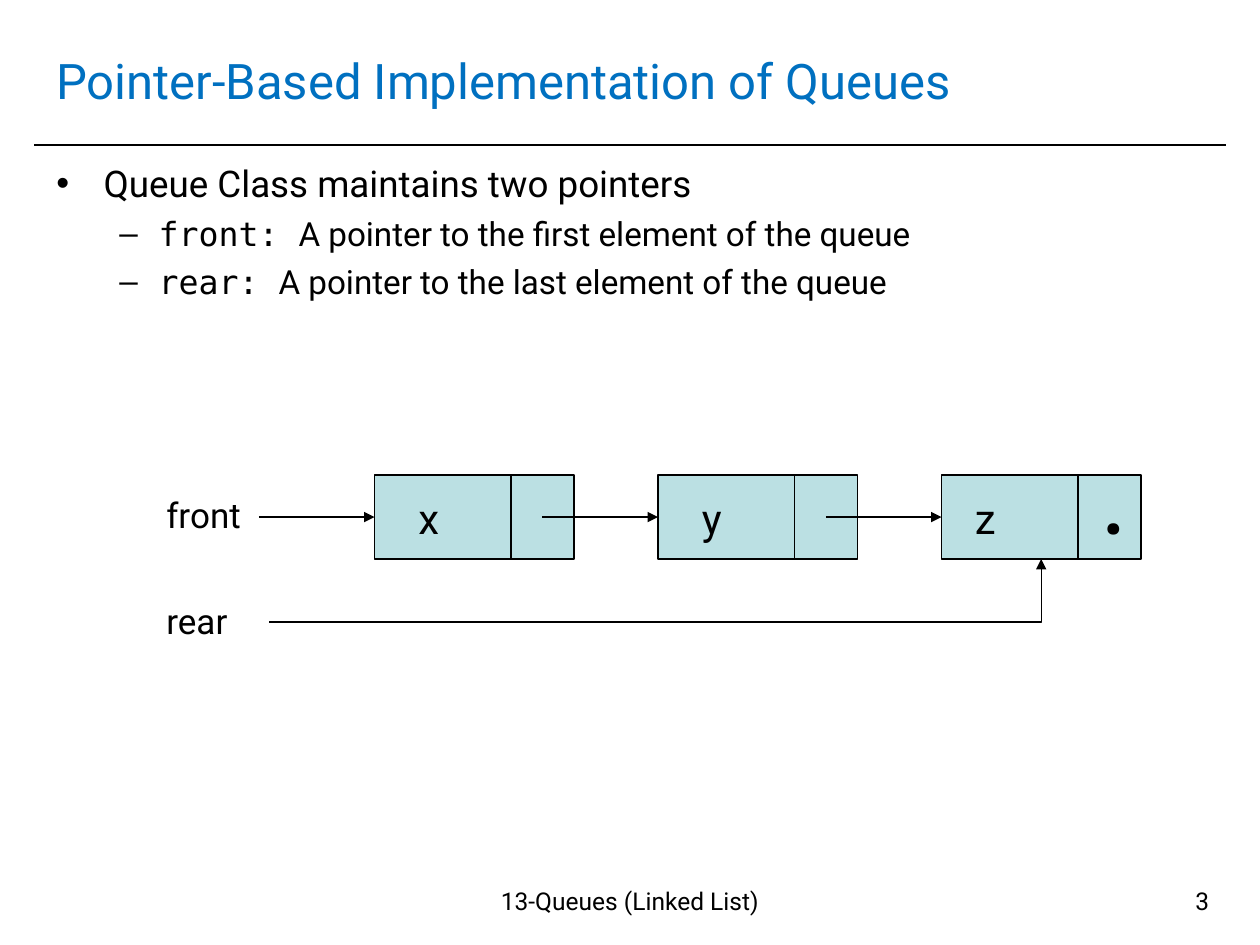
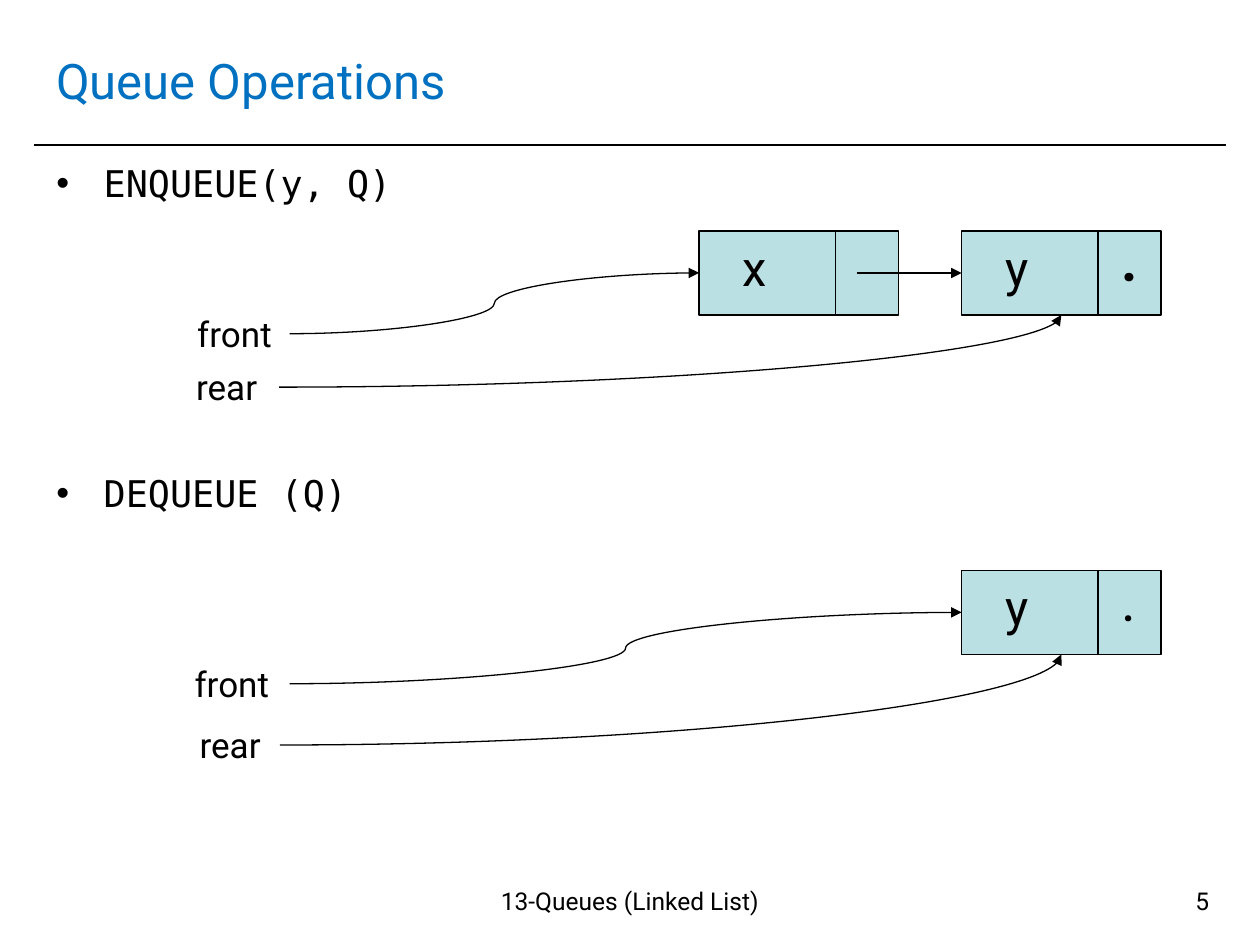
from dataclasses import dataclass
from typing import Any, Optional

from lxml import etree
from pptx import Presentation
from pptx.dml.color import RGBColor
from pptx.enum.shapes import MSO_CONNECTOR, MSO_SHAPE
from pptx.enum.text import MSO_ANCHOR, MSO_AUTO_SIZE, PP_ALIGN
from pptx.oxml.ns import qn
from pptx.util import Pt

STRAIGHT, ELBOW, CURVE = MSO_CONNECTOR.STRAIGHT, MSO_CONNECTOR.ELBOW, MSO_CONNECTOR.CURVE
RECTANGLE = MSO_SHAPE.RECTANGLE
LEFT, CENTER, RIGHT = PP_ALIGN.LEFT, PP_ALIGN.CENTER, PP_ALIGN.RIGHT
TOP, MIDDLE = MSO_ANCHOR.TOP, MSO_ANCHOR.MIDDLE
NO_AUTOFIT = MSO_AUTO_SIZE.NONE

SANS, MONO = "Roboto", "DejaVu Sans Mono"
BLACK, TITLE_BLUE, NODE_FILL = "000000", "0070C0", "BBE0E3"
BOTTOM_SITE, LEFT_SITE, RIGHT_SITE = 2, 1, 3

NODE_WIDTH, NODE_HEIGHT, DIVIDER = 114, 48, 78
NODE_PITCH = 162
LABEL_HEIGHT = 31.5
CONTENT_LEFT, CONTENT_WIDTH = 25, 669


@dataclass
class Run:
    """A stretch of text in one font."""
    text: str
    font: str = SANS


@dataclass
class Bullet:
    """A list item with its level and the space above it."""
    runs: list[Run]
    level: int = 0
    space_before: float = 0


@dataclass
class BulletStyle:
    """The look of one list level."""
    mark: str
    size: float
    margin: float
    hanging: float


@dataclass
class Dot:
    """The null mark in the last node of a list."""
    size: float
    top: float
    bold: bool = False


@dataclass
class Node:
    """A linked-list node with its letter placed relative to its corner."""
    letter: str
    left: float
    top: float
    letter_size: float = 28
    letter_left: float = 18
    letter_top: float = 0
    dot: Optional[Dot] = None


@dataclass
class Label:
    """The name of a pointer."""
    text: str
    left: float
    top: float
    width: float
    align: Any = CENTER


BULLET_STYLES = [BulletStyle("•", 21, 27, 27), BulletStyle("–", 19, 58.5, 22.5)]


def color(value: str) -> RGBColor:
    """Turn a hex string into a colour."""
    return RGBColor.from_string(value)


def add_run(paragraph: Any, text: str, *, size: float, font: str = SANS,
            fill: str = BLACK, bold: bool = False) -> None:
    """Add formatted text to a paragraph."""
    run = paragraph.add_run()
    run.text = text
    run.font.name = font
    run.font.size = Pt(size)
    run.font.bold = bold
    run.font.color.rgb = color(fill)


def add_text(slide: Any, text: str, left: float, top: float, width: float, height: float,
             *, align: Any = LEFT, **text_format: Any) -> Any:
    """Add a wrapped text box with one paragraph."""
    box = slide.shapes.add_textbox(Pt(left), Pt(top), Pt(width), Pt(height))
    box.text_frame.word_wrap = True
    paragraph = box.text_frame.paragraphs[0]
    paragraph.alignment = align
    add_run(paragraph, text, **text_format)
    return box


def add_line(slide: Any, start: tuple[float, float], end: tuple[float, float],
             *, kind: Any = STRAIGHT, width: float = 0.75) -> Any:
    """Add a plain black connector."""
    line = slide.shapes.add_connector(kind, *(Pt(value) for value in start + end))
    line.line.color.rgb = color(BLACK)
    line.line.width = Pt(width)
    etree.SubElement(line.element.spPr, qn("a:effectLst"))
    return line


def add_arrow(slide: Any, start: tuple[float, float], target: Any, site: int = LEFT_SITE,
              *, kind: Any = STRAIGHT, preset: str = "line", source: Any = None) -> None:
    """Add an arrow that ends on a side of a node."""
    arrow = add_line(slide, start, start, kind=kind)
    if source is not None:
        arrow.begin_connect(source, RIGHT_SITE)
    arrow.end_connect(target, site)
    arrow.element.spPr.find(qn("a:prstGeom")).set("prst", preset)
    outline = arrow.element.spPr.find(qn("a:ln"))
    etree.SubElement(outline, qn("a:tailEnd"), type="triangle")


def add_node(slide: Any, node: Node) -> Any:
    """Draw a node and return its rectangle."""
    box = slide.shapes.add_shape(RECTANGLE, Pt(node.left), Pt(node.top),
                                 Pt(NODE_WIDTH), Pt(NODE_HEIGHT))
    box.shadow.inherit = False
    box.fill.solid()
    box.fill.fore_color.rgb = color(NODE_FILL)
    box.line.color.rgb = color(BLACK)
    box.line.width = Pt(0.75)
    divider = node.left + DIVIDER
    add_line(slide, (divider, node.top), (divider, node.top + NODE_HEIGHT))
    add_text(slide, node.letter, node.left + node.letter_left, node.top + node.letter_top,
             36, 36, size=node.letter_size)
    if node.dot:
        add_text(slide, ".", node.left + 84, node.top + node.dot.top, 24,
                 node.dot.size * 1.2 + 7, size=node.dot.size, bold=node.dot.bold)
    return box


def add_label(slide: Any, label: Label) -> Any:
    """Draw a pointer name."""
    return add_text(slide, label.text, label.left, label.top, label.width, LABEL_HEIGHT,
                    align=label.align, size=20)


def place(shape: Any, top: float, height: float, anchor: Any) -> None:
    """Move a placeholder into the content column."""
    shape.left, shape.top = Pt(CONTENT_LEFT), Pt(top)
    shape.width, shape.height = Pt(CONTENT_WIDTH), Pt(height)
    shape.text_frame.word_wrap = True
    shape.text_frame.auto_size = NO_AUTOFIT
    shape.text_frame.vertical_anchor = anchor


def fill_bullet(paragraph: Any, bullet: Bullet) -> None:
    """Format a paragraph as a list item and write its runs."""
    style = BULLET_STYLES[bullet.level]
    paragraph.level = bullet.level
    properties = paragraph._p.get_or_add_pPr()
    properties.set("marL", str(Pt(style.margin)))
    properties.set("indent", str(-Pt(style.hanging)))
    mark_color = etree.SubElement(properties, qn("a:buClr"))
    etree.SubElement(mark_color, qn("a:srgbClr"), val=BLACK)
    etree.SubElement(properties, qn("a:buChar"), char=style.mark)
    paragraph.space_before = Pt(bullet.space_before)
    for run in bullet.runs:
        add_run(paragraph, run.text, size=style.size, font=run.font)


def add_slide(presentation: Any, title: str, number: int, bullets: list[Bullet]) -> Any:
    """Add a slide with title, rule, list and footer."""
    slide = presentation.slides.add_slide(presentation.slide_layouts[1])
    add_line(slide, (19.5, 83), (700.5, 83), width=1)
    heading, body = slide.placeholders
    place(heading, 15, 61, MIDDLE)
    heading.text_frame.paragraphs[0].alignment = LEFT
    add_run(heading.text_frame.paragraphs[0], title, size=28, fill=TITLE_BLUE)
    place(body, 88.5, 402.5, TOP)
    for index, bullet in enumerate(bullets):
        frame = body.text_frame
        fill_bullet(frame.add_paragraph() if index else frame.paragraphs[0], bullet)
    add_text(slide, "13-Queues (Linked List)", 241, 502.5, 238, 37.5, align=CENTER, size=14)
    add_text(slide, str(number), 530, 502.5, 168, 37.5, align=RIGHT, size=14)
    return slide


def build_implementation(presentation: Any) -> None:
    """Build the slide on the front and rear pointers."""
    slide = add_slide(presentation, "Pointer-Based Implementation of Queues", 3, [
        Bullet([Run("Queue Class maintains two pointers")]),
        Bullet([Run("front: ", MONO), Run("A pointer to the first element of the queue")], 1, 4.5),
        Bullet([Run("rear: ", MONO), Run("A pointer to the last element of the queue")], 1, 4.5),
    ])
    first_left, top = 214, 271.5
    middle = top + NODE_HEIGHT / 2
    boxes = []
    for index, letter in enumerate("xyz"):
        last = letter == "z"
        boxes.append(add_node(slide, Node(
            letter, first_left + index * NODE_PITCH, top, 24, 12 if last else 18, 6.5,
            Dot(60, -29.5) if last else None)))
    for index, box in enumerate(boxes):
        add_arrow(slide, (first_left - 66 + index * NODE_PITCH, middle), box)
    add_arrow(slide, (154, 355.5), boxes[-1], BOTTOM_SITE, kind=ELBOW, preset="bentConnector2")
    add_label(slide, Label("front", 88, 278.5, 72, LEFT))
    add_label(slide, Label("rear", 88, 339, 72, LEFT))


def add_pointers(slide: Any, front: Label, rear: Label, first: Any, last: Any) -> None:
    """Draw both pointer names with curves to the first and last nodes."""
    routes = [(front, first, LEFT_SITE, "curvedConnector3"),
              (rear, last, BOTTOM_SITE, "curvedConnector2")]
    for label, target, site, preset in routes:
        source = add_label(slide, label)
        start = (label.left + label.width, label.top + LABEL_HEIGHT / 2)
        add_arrow(slide, start, target, site, kind=CURVE, preset=preset, source=source)


def build_operations(presentation: Any) -> None:
    """Build the slide on enqueue and dequeue."""
    slide = add_slide(presentation, "Queue Operations", 5, [
        Bullet([Run("ENQUEUE(y, Q)", MONO)]),
        Bullet([Run("DEQUEUE (Q)", MONO)], space_before=151.5),
    ])
    x_left, y_left, enqueue_top, dequeue_top = 399.5, 549.5, 132, 326
    x_box = add_node(slide, Node("x", x_left, enqueue_top))
    y_box = add_node(slide, Node("y", y_left, enqueue_top, dot=Dot(32, -6.5, True)))
    add_arrow(slide, (x_left + 90, enqueue_top + NODE_HEIGHT / 2), y_box)
    add_pointers(slide, Label("front", 102.5, 175, 63), Label("rear", 99.5, 205.5, 60),
                 x_box, y_box)
    only_box = add_node(slide, Node("y", y_left, dequeue_top, dot=Dot(32, -6.5)))
    add_pointers(slide, Label("front", 99.5, 375, 66), Label("rear", 103, 410, 57),
                 only_box, only_box)


def main() -> None:
    """Build and save the presentation."""
    presentation = Presentation()
    presentation.slide_width, presentation.slide_height = Pt(720), Pt(540)
    build_implementation(presentation)
    build_operations(presentation)
    presentation.save("out.pptx")


if __name__ == "__main__":
    main()
